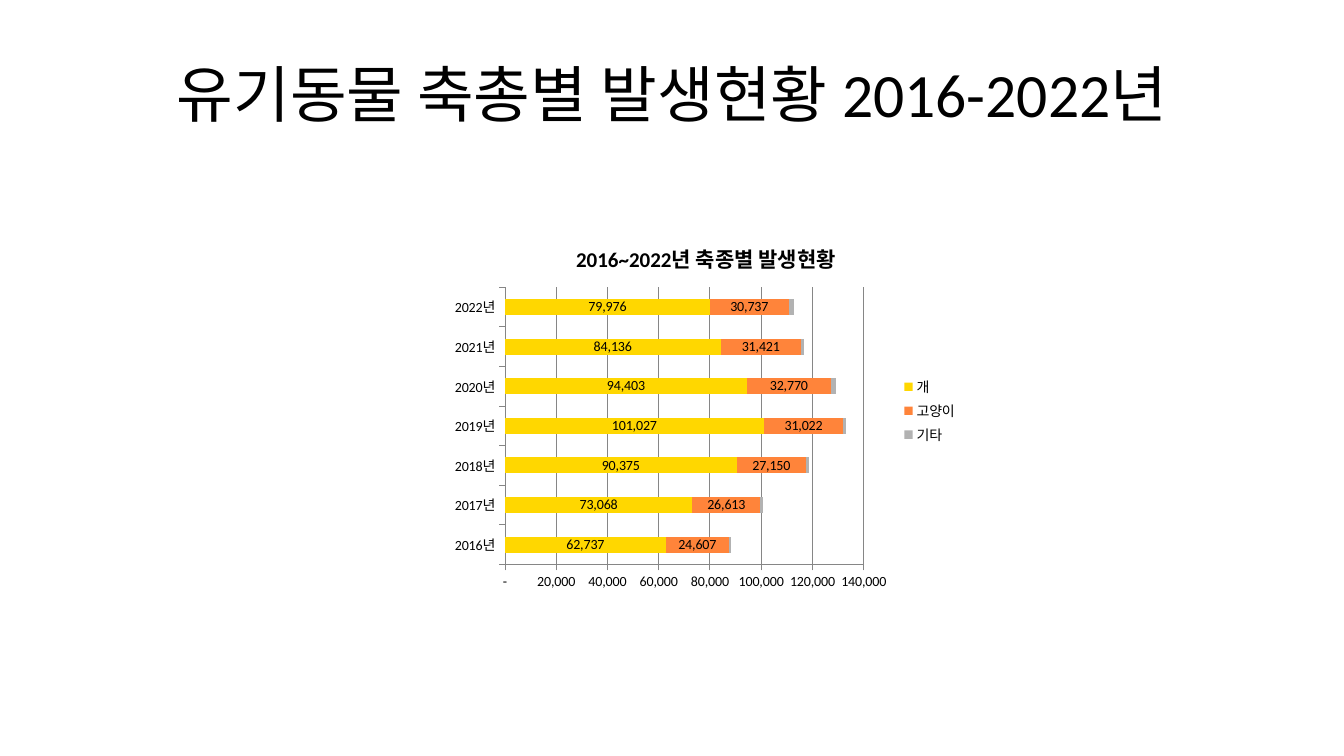
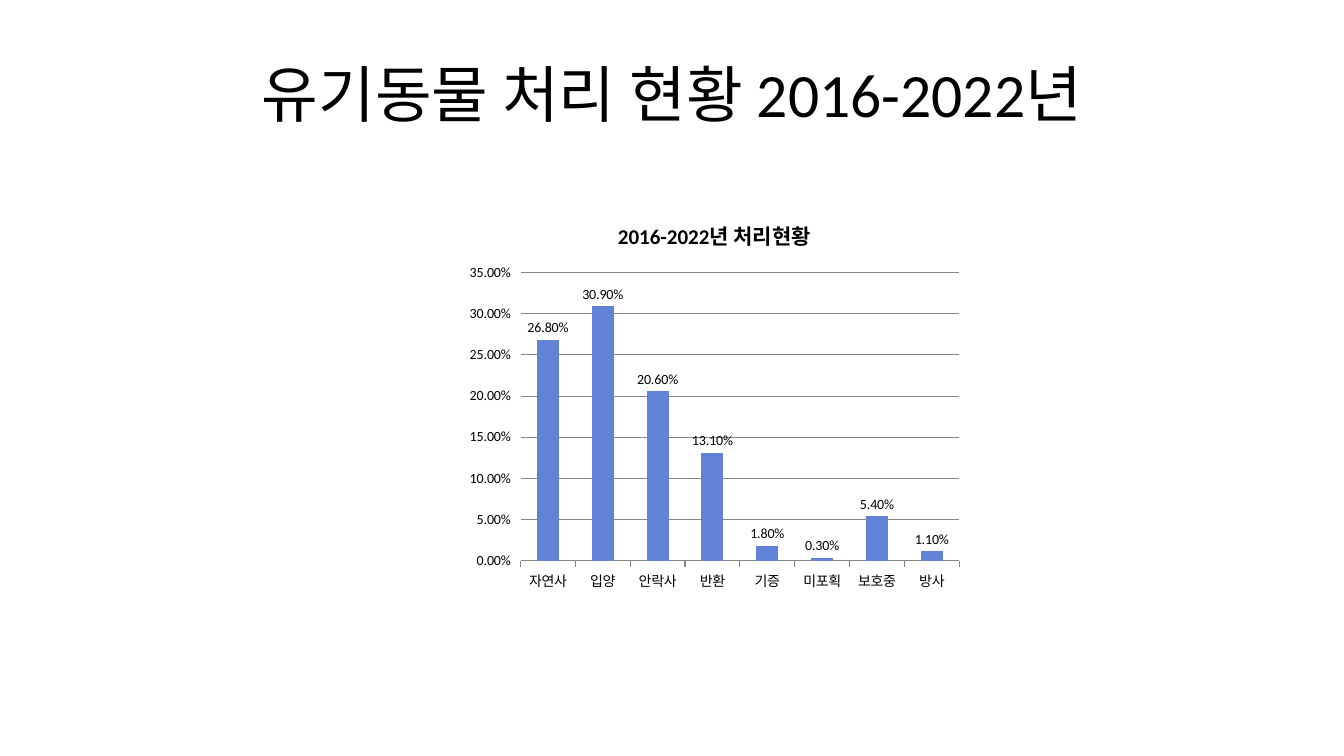
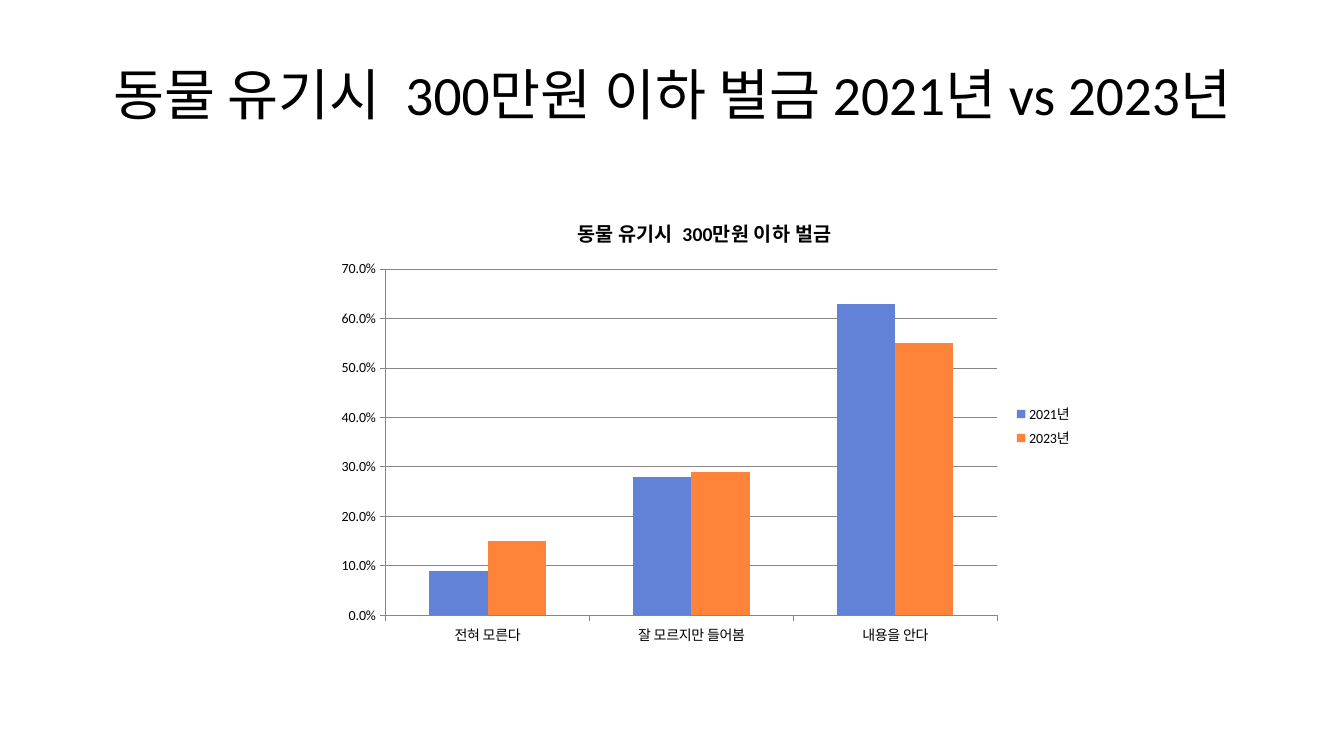
from dataclasses import dataclass
from typing import Any

from pptx import Presentation
from pptx.chart.axis import CategoryAxis, ValueAxis
from pptx.chart.chart import Chart
from pptx.chart.data import CategoryChartData as Data
from pptx.dml.color import RGBColor
from pptx.enum.chart import XL_CHART_TYPE as Kind
from pptx.enum.chart import XL_LABEL_POSITION as Spot
from pptx.enum.chart import XL_LEGEND_POSITION as Side
from pptx.enum.chart import XL_TICK_MARK as Tick
from pptx.enum.text import MSO_ANCHOR as Anchor
from pptx.enum.text import MSO_AUTO_SIZE as Fit
from pptx.enum.text import PP_ALIGN as Align
from pptx.slide import Slide
from pptx.util import Cm, Pt

# Shared look
BLACK = RGBColor(0x00, 0x00, 0x00)
GREY = RGBColor(0x86, 0x86, 0x86)
SILVER = RGBColor(0xB2, 0xB2, 0xB2)
GOLD = RGBColor(0xFF, 0xD7, 0x00)
ORANGE = RGBColor(0xFF, 0x84, 0x3A)
BLUE = RGBColor(0x61, 0x82, 0xD6)
FACE = "Calibri"
COUNT = '_-* #,##0_-;-* #,##0_-;_-* "-"_-;_-@_-'
BOX = {"left": Cm(1.7), "top": Cm(0.76), "width": Cm(30.48), "height": Cm(3.18)}
FRAME = {"word_wrap": True, "auto_size": Fit.NONE, "vertical_anchor": Anchor.MIDDLE}


@dataclass(frozen=True)
class Bars:
    name: str
    vals: tuple[float, ...]
    color: RGBColor
    spot: Spot | None = None


@dataclass(frozen=True)
class Page:
    title: str
    head: str
    kind: Kind
    at: tuple[float, float, float, float]
    cats: tuple[str, ...]
    bars: tuple[Bars, ...]
    form: str
    size: float = 44
    head_size: float = 15
    legend: bool = True
    line: bool = True


PAGES = (
    Page(
        title="유기동물 축총별 발생현황 2016-2022년",
        head="2016~2022년 축종별 발생현황",
        kind=Kind.BAR_STACKED,
        at=(11.2, 5.64, 13.18, 9.42),
        cats=tuple(f"{year}년" for year in range(2016, 2023)),
        bars=(
            Bars("개", (62737, 73068, 90375, 101027, 94403, 84136, 79976), GOLD, Spot.CENTER),
            Bars("고양이", (24607, 26613, 27150, 31022, 32770, 31421, 30737), ORANGE, Spot.CENTER),
            Bars("기타", (1000, 1000, 1000, 1000, 2000, 1000, 2000), SILVER),
        ),
        form=COUNT,
    ),
    Page(
        title="유기동물 처리 현황 2016-2022년",
        head="2016-2022년 처리현황",
        kind=Kind.COLUMN_CLUSTERED,
        at=(11.58, 5.05, 12.85, 10.03),
        cats=("자연사", "입양", "안락사", "반환", "기증", "미포획", "보호중", "방사"),
        bars=(
            Bars(
                "Series 1",
                (0.268, 0.309, 0.206, 0.131, 0.018, 0.003, 0.054, 0.011),
                BLUE,
                Spot.OUTSIDE_END,
            ),
        ),
        form="0.00%",
        legend=False,
        line=False,
    ),
    Page(
        title="동물 유기시  300만원 이하 벌금 2021년 vs 2023년",
        head="동물 유기시  300만원 이하 벌금",
        kind=Kind.COLUMN_CLUSTERED,
        at=(8.23, 4.98, 19.05, 11.51),
        cats=("전혀 모른다", "잘 모르지만 들어봄", "내용을 안다"),
        bars=(
            Bars("2021년", (0.09, 0.28, 0.63), BLUE),
            Bars("2023년", (0.15, 0.29, 0.55), ORANGE),
        ),
        form="0.0%",
        size=39.6,
        head_size=14,
    ),
)


def apply(item: Any, vals: dict[str, Any]) -> None:
    for key, val in vals.items():
        setattr(item, key, val)


def style(font: Any, size: float, bold: bool = False) -> None:
    apply(font, {"name": FACE, "size": Pt(size), "bold": bold})
    font.color.rgb = BLACK


def stroke(line: Any) -> None:
    line.color.rgb = GREY
    line.width = Pt(0.75)


def add_title(slide: Slide, page: Page) -> None:
    shape = slide.shapes.title
    apply(shape, BOX)
    apply(shape.text_frame, FRAME)
    para = shape.text_frame.paragraphs[0]
    para.alignment = Align.CENTER
    run = para.add_run()
    run.text = page.title
    style(run.font, page.size)


def set_axes(cat: CategoryAxis, val: ValueAxis, page: Page) -> None:
    for axis in (cat, val):
        apply(axis, {"major_tick_mark": Tick.OUTSIDE, "minor_tick_mark": Tick.NONE})
        stroke(axis.format.line)
    cat.has_major_gridlines = False
    val.has_major_gridlines = True
    stroke(val.major_gridlines.format.line)
    apply(val.tick_labels, {"number_format": page.form, "number_format_is_linked": False})
    if not page.line:
        val.format.line.fill.background()


def set_bars(chart: Chart, page: Page) -> None:
    plot = chart.plots[0]
    stacked = page.kind == Kind.BAR_STACKED
    apply(plot, {"gap_width": 150, "overlap": 100 if stacked else 0, "vary_by_categories": False})
    for series, bars in zip(plot.series, page.bars):
        series.invert_if_negative = False
        series.format.fill.solid()
        series.format.fill.fore_color.rgb = bars.color
        if bars.spot is not None:
            labels = series.data_labels
            apply(labels, {
                "show_value": True,
                "position": bars.spot,
                "number_format": page.form,
                "number_format_is_linked": False,
            })
            style(labels.font, 10)


def add_graph(slide: Slide, page: Page) -> None:
    data = Data(number_format=page.form)
    data.categories = page.cats
    for bars in page.bars:
        data.add_series(bars.name, bars.vals)
    chart = slide.shapes.add_chart(page.kind, *map(Cm, page.at), data).chart
    style(chart.font, 10)

    # Heading and legend
    chart.has_title = True
    run = chart.chart_title.text_frame.paragraphs[0].add_run()
    run.text = page.head
    style(run.font, page.head_size, bold=True)
    chart.has_legend = page.legend
    if page.legend:
        apply(chart.legend, {"position": Side.RIGHT, "include_in_layout": False})

    set_axes(chart.category_axis, chart.value_axis, page)
    set_bars(chart, page)


def main() -> None:
    deck = Presentation()
    apply(deck, {"slide_width": Cm(33.87), "slide_height": Cm(19.05)})
    layout = deck.slide_layouts.get_by_name("Title Only")
    for page in PAGES:
        slide = deck.slides.add_slide(layout)
        add_title(slide, page)
        add_graph(slide, page)
    deck.save("out.pptx")


if __name__ == "__main__":
    main()
